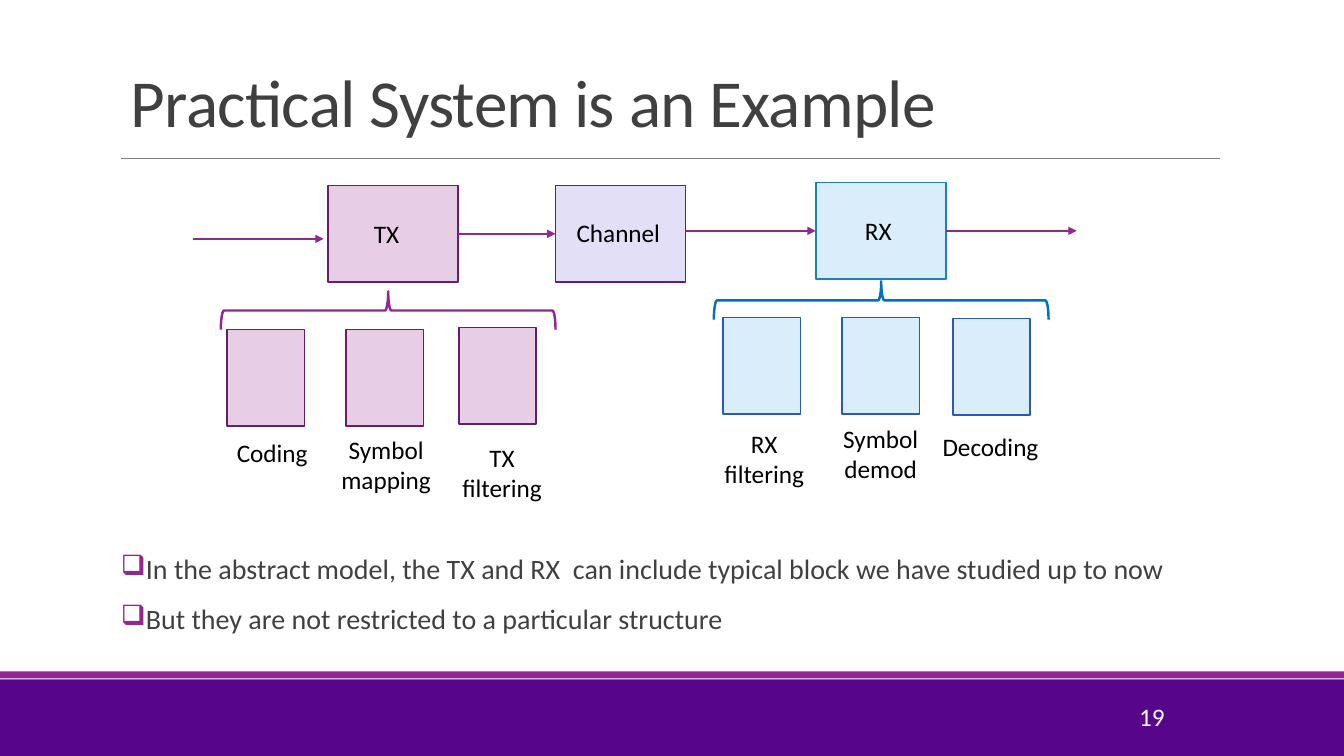
from lxml import etree
from pptx import Presentation
from pptx.dml.color import RGBColor
from pptx.enum.shapes import MSO_CONNECTOR, MSO_SHAPE
from pptx.enum.text import MSO_ANCHOR, MSO_AUTO_SIZE, PP_ALIGN
from pptx.oxml.ns import qn
from pptx.util import Inches, Pt

RECTANGLE, BRACE = MSO_SHAPE.RECTANGLE, MSO_SHAPE.RIGHT_BRACE
STRAIGHT = MSO_CONNECTOR.STRAIGHT
TOP, MIDDLE, BOTTOM = MSO_ANCHOR.TOP, MSO_ANCHOR.MIDDLE, MSO_ANCHOR.BOTTOM
LEFT, CENTER, RIGHT = PP_ALIGN.LEFT, PP_ALIGN.CENTER, PP_ALIGN.RIGHT
FIT_SHAPE = MSO_AUTO_SIZE.SHAPE_TO_FIT_TEXT
LEFT_SIDE, RIGHT_SIDE = 1, 3

BLACK = RGBColor(0x00, 0x00, 0x00)
WHITE = RGBColor(0xFF, 0xFF, 0xFF)
DARK_GREY = RGBColor(0x40, 0x40, 0x40)
RULE_GREY = RGBColor(0x80, 0x80, 0x80)
FOOTER_PURPLE = RGBColor(0x57, 0x06, 0x8C)
MAGENTA = RGBColor(0x92, 0x27, 0x8F)
PLUM = RGBColor(0x6C, 0x1D, 0x6A)
PINK = RGBColor(0xE8, 0xCD, 0xE7)
LAVENDER = RGBColor(0xE3, 0xDF, 0xF7)
PALE_BLUE = RGBColor(0xDA, 0xED, 0xFB)
SKY_BLUE = RGBColor(0x14, 0x80, 0xD1)
ROYAL_BLUE = RGBColor(0x29, 0x58, 0xBE)
BRACE_BLUE = RGBColor(0x00, 0x70, 0xC0)


class SlideBuilder:
    font = "Calibri"

    def __init__(self, page):
        self.page = page

    def block(self, left, top, width, height, fill, line=None):
        box = self.page.shapes.add_shape(
            RECTANGLE, Inches(left), Inches(top), Inches(width), Inches(height))
        box.shadow.inherit = False
        box.fill.solid()
        box.fill.fore_color.rgb = fill
        if line is None:
            box.line.fill.background()
        else:
            box.line.color.rgb = line
            box.line.width = Pt(1.25)
        return box

    def brace(self, left, top, color):
        brace = self.page.shapes.add_shape(
            BRACE, Inches(left), Inches(top), Inches(0.38), Inches(3.32))
        brace.rotation = 270
        brace.shadow.inherit = False
        brace.fill.background()
        brace.line.color.rgb = color
        brace.line.width = Pt(1.75)

    def line(self, start, end, y, color, width):
        line = self.page.shapes.add_connector(
            STRAIGHT, Inches(start), Inches(y), Inches(end), Inches(y))
        line.line.color.rgb = color
        line.line.width = Pt(width)
        etree.SubElement(line._element.spPr, qn("a:effectLst"))
        return line

    def arrow(self, start, end, y, source=None, target=None):
        arrow = self.line(start, end, y, MAGENTA, 1)
        outline = arrow._element.spPr.find(qn("a:ln"))
        etree.SubElement(outline, qn("a:tailEnd"), type="triangle")
        if source is not None:
            arrow.begin_connect(source, RIGHT_SIDE)
        if target is not None:
            arrow.end_connect(target, LEFT_SIDE)

    def frame(self, left, top, width, height, anchor=TOP, wrap=True):
        box = self.page.shapes.add_textbox(
            Inches(left), Inches(top), Inches(width), Inches(height))
        box.text_frame.word_wrap = wrap
        box.text_frame.vertical_anchor = anchor
        return box.text_frame

    def add_text(self, para, text, size, color):
        """Adds text to a paragraph, with a line break at each newline."""
        spans = []
        for index, part in enumerate(text.split("\n")):
            if index:
                para.add_line_break()
            span = para.add_run()
            span.text = part
            span.font.name = self.font
            span.font.size = Pt(size)
            span.font.color.rgb = color
            spans.append(span)
        return spans

    def label(self, left, top, width, height, texts, align=LEFT):
        frame = self.frame(left, top, width, height, wrap=False)
        frame.auto_size = FIT_SHAPE
        for index, text in enumerate(texts):
            para = frame.add_paragraph() if index else frame.paragraphs[0]
            para.alignment = align
            self.add_text(para, text, 18, BLACK)

    def title(self, text):
        para = self.frame(1.2, 0.31, 11, 1.14, BOTTOM).paragraphs[0]
        para.line_spacing = 0.85
        for span in self.add_text(para, text, 48, DARK_GREY):
            span._r.get_or_add_rPr().set("spc", "-50")

    def page_number(self, text):
        para = self.frame(10.22, 6.91, 1.43, 0.4, MIDDLE).paragraphs[0]
        para.alignment = RIGHT
        self.add_text(para, text, 18, WHITE)

    def bullets(self, texts):
        frame = self.frame(1.2, 5.46, 11, 0.96)
        frame.margin_left = frame.margin_right = 0
        for index, text in enumerate(texts):
            para = frame.add_paragraph() if index else frame.paragraphs[0]
            para.line_spacing = 0.9
            para.space_after = Pt(2)
            if index:
                para.space_before = Pt(12)
            props = para._p.get_or_add_pPr()
            props.set("marL", str(Inches(0.1)))
            props.set("indent", str(-Inches(0.1)))
            color = etree.SubElement(props, qn("a:buClr"))
            etree.SubElement(color, qn("a:srgbClr"), val=str(MAGENTA))
            etree.SubElement(props, qn("a:buChar"), char="❑")
            self.add_text(para, text, 20, DARK_GREY)


def main():
    deck = Presentation()
    deck.slide_width, deck.slide_height = Inches(13.33), Inches(7.5)
    slide = SlideBuilder(deck.slides.add_slide(deck.slide_layouts[6]))

    # Footer bands, title and rule
    slide.block(0, 6.74, 13.33, 0.76, FOOTER_PURPLE)
    slide.block(0, 6.66, 13.33, 0.07, MAGENTA)
    slide.line(1.2, 12.1, 1.57, RULE_GREY, 0.5)
    slide.title("Practical System is an Example")
    slide.page_number("19")

    # Main chain: TX, channel, RX
    transmitter = slide.block(3.25, 1.84, 1.29, 0.96, PINK, PLUM)
    channel = slide.block(5.51, 1.84, 1.29, 0.96, LAVENDER, PLUM)
    receiver = slide.block(8.09, 1.81, 1.29, 0.96, PALE_BLUE, SKY_BLUE)
    slide.label(3.61, 2.12, 0.46, 0.4, ["TX"])
    slide.label(5.62, 2.11, 1.04, 0.4, ["Channel"])
    slide.label(8.48, 2.09, 0.47, 0.4, ["RX"])
    slide.arrow(1.91, 3.21, 2.37)
    slide.arrow(4.54, 5.51, 2.32, transmitter, channel)
    slide.arrow(6.8, 8.09, 2.29, target=receiver)
    slide.arrow(9.38, 10.68, 2.29, source=receiver)

    # Stages inside the transmitter and the receiver
    for left, top, fill, line in [
        (2.25, 3.27, PINK, PLUM),
        (3.43, 3.27, PINK, PLUM),
        (4.55, 3.25, PINK, PLUM),
        (7.17, 3.15, PALE_BLUE, ROYAL_BLUE),
        (8.35, 3.15, PALE_BLUE, ROYAL_BLUE),
        (9.45, 3.16, PALE_BLUE, ROYAL_BLUE),
    ]:
        slide.block(left, top, 0.77, 0.96, fill, line)
    slide.label(2.25, 4.29, 0.91, 0.4, ["Coding"])
    slide.label(3.28, 4.26, 1.1, 0.71, ["Symbol", "mapping"], CENTER)
    slide.label(4.48, 4.34, 1, 0.71, ["TX\nfiltering"], CENTER)
    slide.label(7.08, 4.2, 1, 0.71, ["RX\nfiltering"], CENTER)
    slide.label(8.26, 4.15, 0.95, 0.71, ["Symbol", "demod"], CENTER)
    slide.label(9.25, 4.23, 1.17, 0.4, ["Decoding"])
    slide.brace(3.66, 1.42, MAGENTA)
    slide.brace(8.55, 1.32, BRACE_BLUE)

    # Remarks
    slide.bullets([
        "In the abstract model, the TX and RX  can include typical block we have studied up to now",
        "But they are not restricted to a particular structure",
    ])

    deck.save("out.pptx")


if __name__ == "__main__":
    main()
